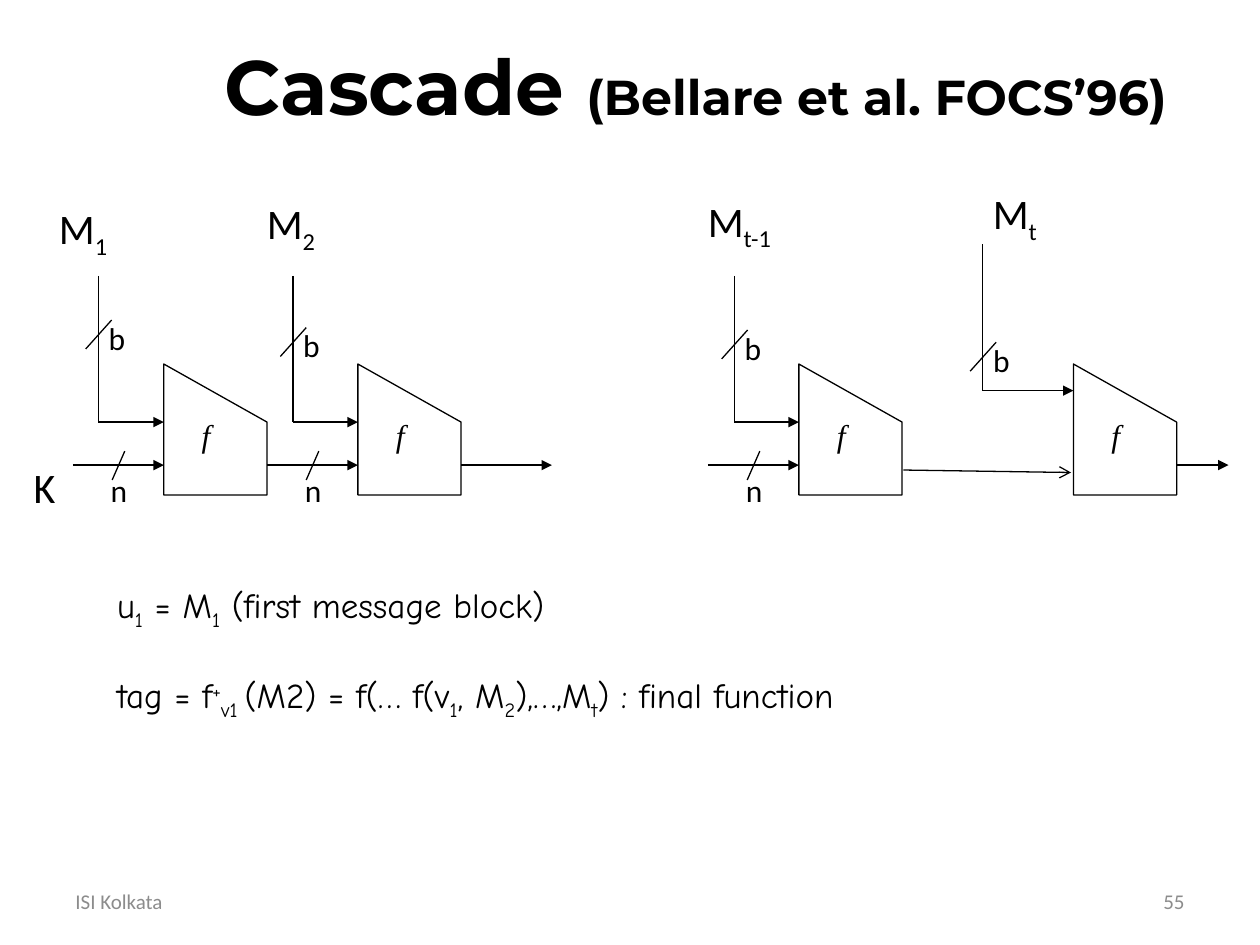
from dataclasses import dataclass

from lxml import etree
from pptx import Presentation
from pptx.dml.color import RGBColor
from pptx.enum.shapes import MSO_CONNECTOR as Connector
from pptx.enum.text import MSO_ANCHOR as Anchor, PP_ALIGN as Align
from pptx.oxml.ns import qn
from pptx.util import Pt

COLORS = {"ink": "000000", "footer": "8C8C8C"}
SUB, SUPER = -25, 30

# Shared geometry of every compression function f, in points
BOX_WIDTH, BOX_TOP, BOX_SHOULDER, BOX_BOTTOM = 59, 208, 241.2, 282.8
CHAIN_Y, CHAIN_LENGTH, BUS_HEIGHT = 265.8, 52, 83.5


@dataclass
class Stage:
    left: float
    index: str
    label_left: float
    label_top: float
    bus_x: float
    bus_top: float
    slash_top: float
    chained: bool = True


STAGES = [
    Stage(93.6, "1", 26.6, 112.3, 56.2, 157.7, 182.9),
    Stage(204.5, "2", 145.4, 109.4, 167.4, 157.7, 187.2),
    Stage(456.5, "t-1", 397.4, 108, 419.6, 157.7, 188.6),
    Stage(613.4, "t", 560.2, 103.7, 561.6, 139.7, 195.6, chained=False),
]


def color(name):
    return RGBColor.from_string(COLORS[name])


def add_runs(paragraph, parts, size, font="Calibri", ink="ink", italic=False):
    """Add runs given as (text, baseline percent) pairs."""
    for text, baseline in parts:
        run = paragraph.add_run()
        run.text = text
        run.font.size = Pt(size)
        run.font.name = font
        run.font.italic = italic
        run.font.color.rgb = color(ink)
        if baseline:
            run.font._element.set("baseline", str(baseline * 1000))


def add_text(slide, left, top, width, height, parts, size, wrap=False,
             anchor=Anchor.TOP, align=Align.LEFT, **style):
    shape = slide.shapes.add_textbox(Pt(left), Pt(top), Pt(width), Pt(height))
    frame = shape.text_frame
    frame.word_wrap = wrap
    frame.vertical_anchor = anchor
    frame.paragraphs[0].alignment = align
    add_runs(frame.paragraphs[0], parts, size, **style)
    return frame


def add_line(slide, start, end, arrow=None):
    line = slide.shapes.add_connector(
        Connector.STRAIGHT, *(Pt(value) for value in (*start, *end)))
    line.line.color.rgb = color("ink")
    line.line.width = Pt(0.75)
    if arrow:
        outline = line.line._get_or_add_ln()
        etree.SubElement(outline, qn("a:tailEnd"), type=arrow)
    etree.SubElement(line._element.spPr, qn("a:effectLst"))


def add_function_box(slide, left):
    right = left + BOX_WIDTH
    corners = [(right, BOX_SHOULDER), (right, BOX_BOTTOM), (left, BOX_BOTTOM)]
    builder = slide.shapes.build_freeform(Pt(left), Pt(BOX_TOP))
    builder.add_line_segments([(Pt(x), Pt(y)) for x, y in corners], close=True)
    shape = builder.convert_to_shape()
    shape.shadow.inherit = False
    shape.fill.background()
    shape.line.color.rgb = color("ink")
    shape.line.width = Pt(0.75)
    add_text(slide, left + 14.6, 234, 24, 40, [("f", 0)], 18,
             font="Times New Roman", italic=True)


def add_stage(slide, stage):
    left, bus_x = stage.left, stage.bus_x
    add_function_box(slide, left)

    # Message block entering from above, b bits wide
    add_text(slide, stage.label_left, stage.label_top, 60, 37,
             [("M", 0), (stage.index, SUB)], 24)
    bus_bottom = stage.bus_top + BUS_HEIGHT
    add_line(slide, (bus_x, stage.bus_top), (bus_x, bus_bottom))
    add_line(slide, (bus_x, bus_bottom), (left, bus_bottom), "triangle")
    add_line(slide, (bus_x + 7.6, stage.slash_top),
             (bus_x - 7.2, stage.slash_top + 16.5))
    add_text(slide, bus_x - 1.2, stage.slash_top - 4.3, 30, 40, [("b", 0)], 18)

    # Chaining value entering from the left, n bits wide
    if stage.chained:
        add_line(slide, (left - CHAIN_LENGTH, CHAIN_Y), (left, CHAIN_Y), "triangle")
        add_line(slide, (left - 22.3, CHAIN_Y - 8), (left - 29.5, CHAIN_Y + 8.5))
        add_text(slide, left - 37.4, CHAIN_Y, 30, 40, [("n", 0)], 18)


def add_title(slide):
    title = slide.shapes.title
    title.left, title.top, title.width, title.height = Pt(36), Pt(3.6), Pt(648), Pt(90)
    frame = title.text_frame
    frame.vertical_anchor = Anchor.MIDDLE
    frame.margin_left = Pt(82)
    paragraph = frame.paragraphs[0]
    paragraph.alignment = Align.CENTER
    add_runs(paragraph, [("Cascade ", 0)], 44, font="Montserrat")
    add_runs(paragraph, [("(Bellare et al. FOCS’96)", 0)], 28, font="Montserrat")
    for run in paragraph.runs:
        run.font.bold = True


def add_formulas(slide):
    first = [("u", 0), ("1", SUB), (" = M", 0), ("1", SUB),
             (" (first message block)", 0)]
    second = [("tag = f", 0), ("+", SUPER), ("v1 ", SUB), ("(M2) = f(… f(v", 0),
              ("1", SUB), (", M", 0), ("2", SUB), ("),…,M", 0), ("t", SUB),
              (") : final function", 0)]
    frame = add_text(slide, 59.8, 329.8, 490, 80, first, 20, font="Comic Neue")
    paragraph = frame.add_paragraph()
    paragraph.space_before = Pt(24.5)
    add_runs(paragraph, second, 20, font="Comic Neue")


def main():
    presentation = Presentation()
    presentation.slide_width, presentation.slide_height = Pt(720), Pt(540)
    slide = presentation.slides.add_slide(presentation.slide_layouts[5])
    add_title(slide)

    # Cascade diagram
    for stage in STAGES:
        add_stage(slide, stage)
    add_text(slide, 12.2, 260, 27, 37, [("K", 0)], 24)

    # Outputs of the second, third and last functions
    add_line(slide, (263.5, CHAIN_Y), (315.4, CHAIN_Y), "triangle")
    add_line(slide, (516.2, 268.6), (612, 270), "arrow")
    add_line(slide, (672.4, CHAIN_Y), (702, CHAIN_Y), "triangle")

    add_formulas(slide)

    # Footer
    for left, text, align in ((36, "ISI Kolkata", Align.LEFT),
                              (516, "55", Align.RIGHT)):
        add_text(slide, left, 500.5, 168, 28.8, [(text, 0)], 12, wrap=True,
                 anchor=Anchor.MIDDLE, align=align, ink="footer")

    presentation.save("out.pptx")


if __name__ == "__main__":
    main()
